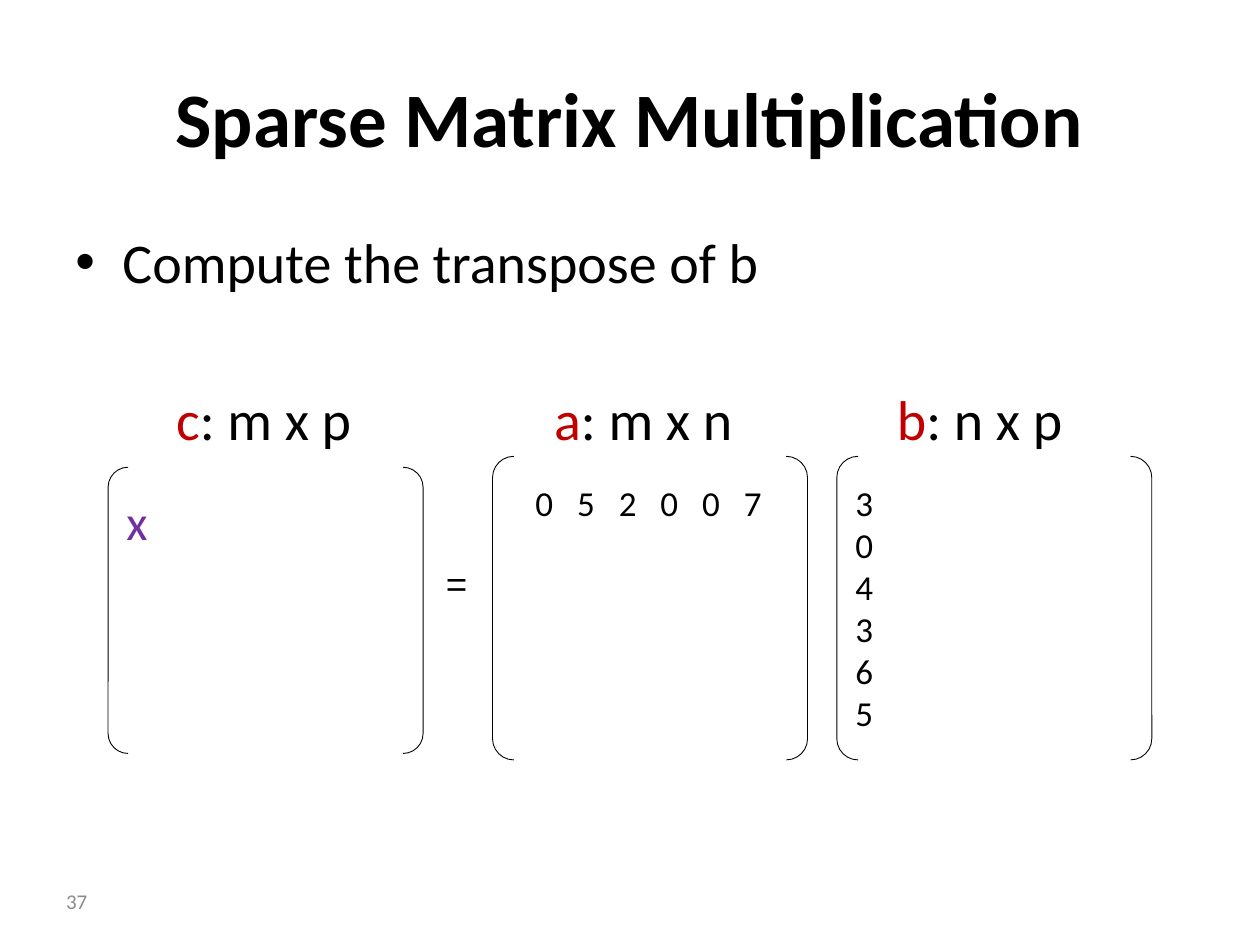
from lxml import etree
from pptx import Presentation
from pptx.dml.color import RGBColor
from pptx.enum.shapes import MSO_SHAPE
from pptx.enum.text import MSO_ANCHOR, PP_ALIGN
from pptx.oxml.ns import qn
from pptx.util import Cm, Pt

BRACKETS = MSO_SHAPE.DOUBLE_BRACKET
TOP, MIDDLE = MSO_ANCHOR.TOP, MSO_ANCHOR.MIDDLE
LEFT, CENTER, RIGHT = PP_ALIGN.LEFT, PP_ALIGN.CENTER, PP_ALIGN.RIGHT
BLACK, RED, PURPLE, GRAY = "000000", "C00000", "7030A0", "8C8C8C"
INSET_X, INSET_Y = 0.25, 0.13


def paint(text):
    return RGBColor.from_string(text)


def write(frame, lines, size, color=BLACK, bold=False, font="Calibri",
          align=LEFT, anchor=TOP, pad=INSET_Y, prep=None):
    """Each line is a string or a list of (text, color) runs."""
    frame.word_wrap = True
    frame.vertical_anchor = anchor
    frame.margin_left = frame.margin_right = Cm(INSET_X)
    frame.margin_top = frame.margin_bottom = Cm(pad)
    for i, line in enumerate(lines):
        para = frame.add_paragraph() if i else frame.paragraphs[0]
        para.alignment = align
        if prep:
            prep(para)
        runs = [(line, color)] if isinstance(line, str) else line
        for text, tone in runs:
            run = para.add_run()
            run.text = text
            run.font.name = font
            run.font.size = Pt(size)
            run.font.bold = bold
            run.font.color.rgb = paint(tone)


def label(slide, box, lines, size, **style):
    shape = slide.shapes.add_textbox(*map(Cm, box))
    write(shape.text_frame, lines, size, **style)


def matrix(slide, box, lines, size, **style):
    shape = slide.shapes.add_shape(BRACKETS, *map(Cm, box))
    shape.adjustments[0] = 0.07
    shape.shadow.inherit = False
    shape.fill.background()
    shape.line.color.rgb = paint(BLACK)
    shape.line.width = Pt(0.5)
    write(shape.text_frame, lines, size, pad=0.38, **style)


def bullet(para):
    props = para._p.get_or_add_pPr()
    props.set("marL", str(Cm(0.95)))
    props.set("indent", str(Cm(-0.95)))
    etree.SubElement(props, qn("a:buFont")).set("typeface", "Arial")
    etree.SubElement(props, qn("a:buChar")).set("char", "•")


def columns(para):
    """Set one tab stop for each number in a matrix row."""
    stops = etree.SubElement(para._p.get_or_add_pPr(), qn("a:tabLst"))
    for i in range(6):
        stop = etree.SubElement(stops, qn("a:tab"))
        stop.set("pos", str(Cm(0.49 + 0.84 * i)))
        stop.set("algn", "l")


def main():
    deck = Presentation()
    deck.slide_width, deck.slide_height = Cm(25.4), Cm(19.05)
    slide = deck.slides.add_slide(deck.slide_layouts[6])

    label(slide, (1.27, 0.76, 22.86, 3.18), ["Sparse Matrix Multiplication"],
          44, bold=True, align=CENTER, anchor=MIDDLE)
    label(slide, (1.27, 4.45, 22.86, 1.8), ["Compute the transpose of b"],
          32, prep=bullet)

    for left, name, dims in ((3.3, "c", "m x p"), (10.92, "a", "m x n"),
                             (17.83, "b", "n x p")):
        label(slide, (left, 7.62, 5, 1.62),
              [[(name, RED), (": " + dims, BLACK)]], 32)

    matrix(slide, (2.18, 9.42, 6.35, 5.77), ["x"], 28, color=PURPLE)
    label(slide, (8.74, 11.18, 1, 1.19), ["="], 21, font="Arial")
    row = "".join("\t" + digit for digit in "052007")
    matrix(slide, (9.93, 9.2, 6.35, 6.12), [row], 20, prep=columns)
    matrix(slide, (16.87, 9.2, 6.35, 6.12), list("304365"), 20)

    label(slide, (0.5, 17.65, 1.51, 1.02), ["37"], 12, color=GRAY,
          align=RIGHT, anchor=MIDDLE)
    deck.save("out.pptx")


if __name__ == "__main__":
    main()
